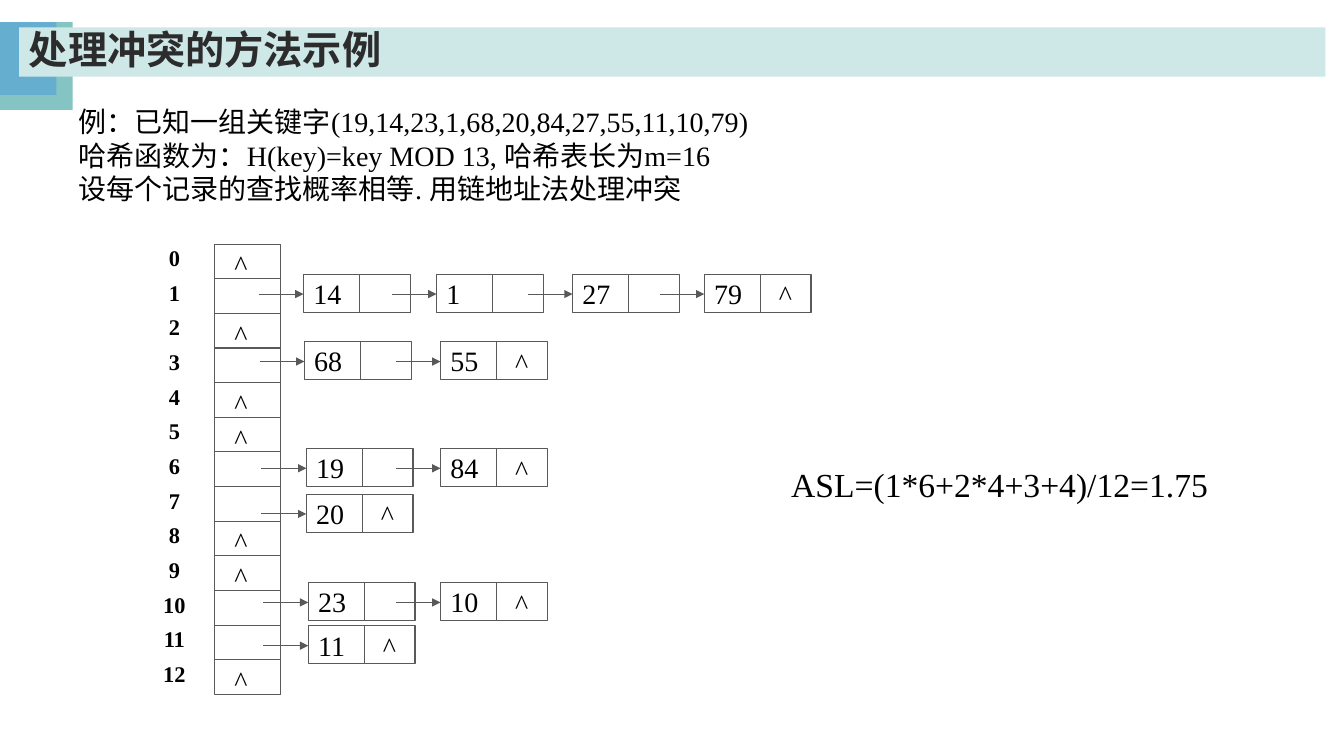
from lxml.etree import SubElement
from pptx import Presentation
from pptx.dml.color import RGBColor
from pptx.enum.shapes import MSO_CONNECTOR, MSO_SHAPE
from pptx.enum.text import MSO_ANCHOR, PP_ALIGN
from pptx.oxml.ns import qn
from pptx.util import Cm, Pt

TEAL = RGBColor(0x84, 0xC4, 0xC3)
BLUE = RGBColor(0x65, 0xAE, 0xCF)
PALE = RGBColor(0xCE, 0xE7, 0xE7)
WHITE = RGBColor(0xFF, 0xFF, 0xFF)
GREY = RGBColor(0x59, 0x59, 0x59)
DARK = RGBColor(0x2C, 0x2C, 0x2C)
BLACK = RGBColor(0, 0, 0)

TITLE = "处理冲突的方法示例"
PROBLEM = [
    "例：已知一组关键字(19,14,23,1,68,20,84,27,55,11,10,79)",
    "哈希函数为：H(key)=key MOD 13, 哈希表长为m=16",
    "设每个记录的查找概率相等. 用链地址法处理冲突",
]
ANSWER = "ASL=(1*6+2*4+3+4)/12=1.75"
NIL = "^"
BUCKETS = 13
CHAINS = {
    1: (6.91, [("14", 7.65), ("1", 11), ("27", 14.43), ("79", 17.75)]),
    3: (8.61, [("68", 7.67), ("55", 11.1)]),
    6: (11.3, [("19", 7.72), ("84", 11.1)]),
    7: (12.45, [("20", 7.72)]),
    10: (14.68, [("23", 7.77), ("10", 11.1)]),
    11: (15.77, [("11", 7.77)]),
}

TITLE_FORMAT = {"name": "Arial", "size": Pt(28), "bold": True}
BODY_FORMAT = {"name": "Times New Roman", "size": Pt(20), "bold": False}
ANSWER_FORMAT = {**BODY_FORMAT, "size": Pt(24)}
INDEX_FORMAT = {**BODY_FORMAT, "size": Pt(16), "bold": True}

BUCKET_LEFT, BUCKET_TOP, BUCKET_WIDTH, BUCKET_STEP = 5.41, 6.15, 1.65, 0.873
INDEX_LEFT, INDEX_WIDTH = 3.48, 1.83
NODE_WIDTH, NODE_HEIGHT, KEY_WIDTH = 2.69, 0.96, 1.42
ARROW_LENGTH, ARROW_DROP = 1.13, 0.5
NIL_WIDTH, NIL_HEIGHT, NIL_INDENT, NIL_RISE = 0.84, 1.12, 1.63, 0.03


def write(frame, lines, font_format, color=BLACK, **para_format):
    for number, line in enumerate(lines):
        para = frame.add_paragraph() if number else frame.paragraphs[0]
        for name, value in {"alignment": PP_ALIGN.LEFT, **para_format}.items():
            setattr(para, name, value)
        span = para.add_run()
        span.text = line
        for name, value in font_format.items():
            setattr(span.font, name, value)
        span.font.color.rgb = color


def add_rectangle(page, place, fill=None, line=None):
    box = page.shapes.add_shape(MSO_SHAPE.RECTANGLE, *map(Cm, place))
    box.shadow.inherit = False
    if fill is None:
        box.fill.background()
    else:
        box.fill.solid()
        box.fill.fore_color.rgb = fill
    if line is None:
        box.line.fill.background()
    else:
        box.line.color.rgb = line
        box.line.width = Pt(0.75)
    box.text_frame.word_wrap = True
    return box


def add_text(page, place, lines, wrap=True):
    box = page.shapes.add_textbox(*map(Cm, place))
    box.text_frame.word_wrap = wrap
    write(box.text_frame, lines, BODY_FORMAT)


def add_line(page, ends, arrow=False):
    line = page.shapes.add_connector(MSO_CONNECTOR.STRAIGHT, *map(Cm, ends))
    line.line.color.rgb = GREY
    line.line.width = Pt(0.75)
    properties = line.line._get_or_add_ln()
    if arrow:
        SubElement(properties, qn("a:tailEnd"), type="triangle")
    SubElement(properties.getparent(), qn("a:effectLst"))


def add_nil(page, left, top):
    add_text(page, (left, top - NIL_RISE, NIL_WIDTH, NIL_HEIGHT), [NIL], wrap=False)


def add_heading(page):
    add_rectangle(page, (0, 0.56, 1.83, 2.21), TEAL)
    add_rectangle(page, (0, 0.56, 1.42, 1.83), BLUE)
    title = add_rectangle(page, (0.48, 0.69, 32.92, 1.24), PALE)
    title.text_frame.vertical_anchor = MSO_ANCHOR.MIDDLE
    write(title.text_frame, [TITLE], TITLE_FORMAT, DARK, line_spacing=0.9)


def add_buckets(page):
    height = BUCKETS * BUCKET_STEP
    add_rectangle(page, (BUCKET_LEFT, BUCKET_TOP, BUCKET_WIDTH, height), line=GREY)
    for bucket in range(BUCKETS):
        top = BUCKET_TOP + bucket * BUCKET_STEP
        if bucket:
            add_line(page, (BUCKET_LEFT, top, BUCKET_LEFT + BUCKET_WIDTH, top))
        if bucket not in CHAINS:
            add_nil(page, BUCKET_LEFT + 0.25, top)


def add_chain(page, top, nodes):
    middle = top + ARROW_DROP
    for key, left in nodes:
        node = add_rectangle(page, (left, top, NODE_WIDTH, NODE_HEIGHT), line=GREY)
        node.text_frame.vertical_anchor = MSO_ANCHOR.MIDDLE
        write(node.text_frame, [key], BODY_FORMAT)
        divider = left + KEY_WIDTH
        add_line(page, (divider, top, divider, top + NODE_HEIGHT))
        add_line(page, (left - ARROW_LENGTH, middle, left, middle), arrow=True)
    add_nil(page, nodes[-1][1] + NIL_INDENT, top)


def add_indexes(page):
    place = (INDEX_LEFT, BUCKET_TOP, INDEX_WIDTH, BUCKETS * BUCKET_STEP)
    table = page.shapes.add_table(BUCKETS, 1, *map(Cm, place)).table
    table.first_row = table.horz_banding = False
    for bucket in range(BUCKETS):
        table.rows[bucket].height = Cm(BUCKET_STEP)
        cell = table.cell(bucket, 0)
        cell.fill.background()
        cell.vertical_anchor = MSO_ANCHOR.MIDDLE
        write(cell.text_frame, [str(bucket)], INDEX_FORMAT,
              alignment=PP_ALIGN.CENTER, line_spacing=0.7)


def main():
    deck = Presentation()
    deck.slide_width, deck.slide_height = Cm(33.87), Cm(19.05)
    page = deck.slides.add_slide(deck.slide_layouts[6])
    add_heading(page)
    add_buckets(page)
    for top, nodes in CHAINS.values():
        add_chain(page, top, nodes)
    answer = add_rectangle(page, (19.69, 11.56, 12.9, 1.27), WHITE)
    answer.text_frame.vertical_anchor = MSO_ANCHOR.TOP
    write(answer.text_frame, [ANSWER], ANSWER_FORMAT)
    add_text(page, (1.73, 2.51, 18.67, 2.82), PROBLEM)
    add_indexes(page)
    deck.save("out.pptx")


if __name__ == "__main__":
    main()
